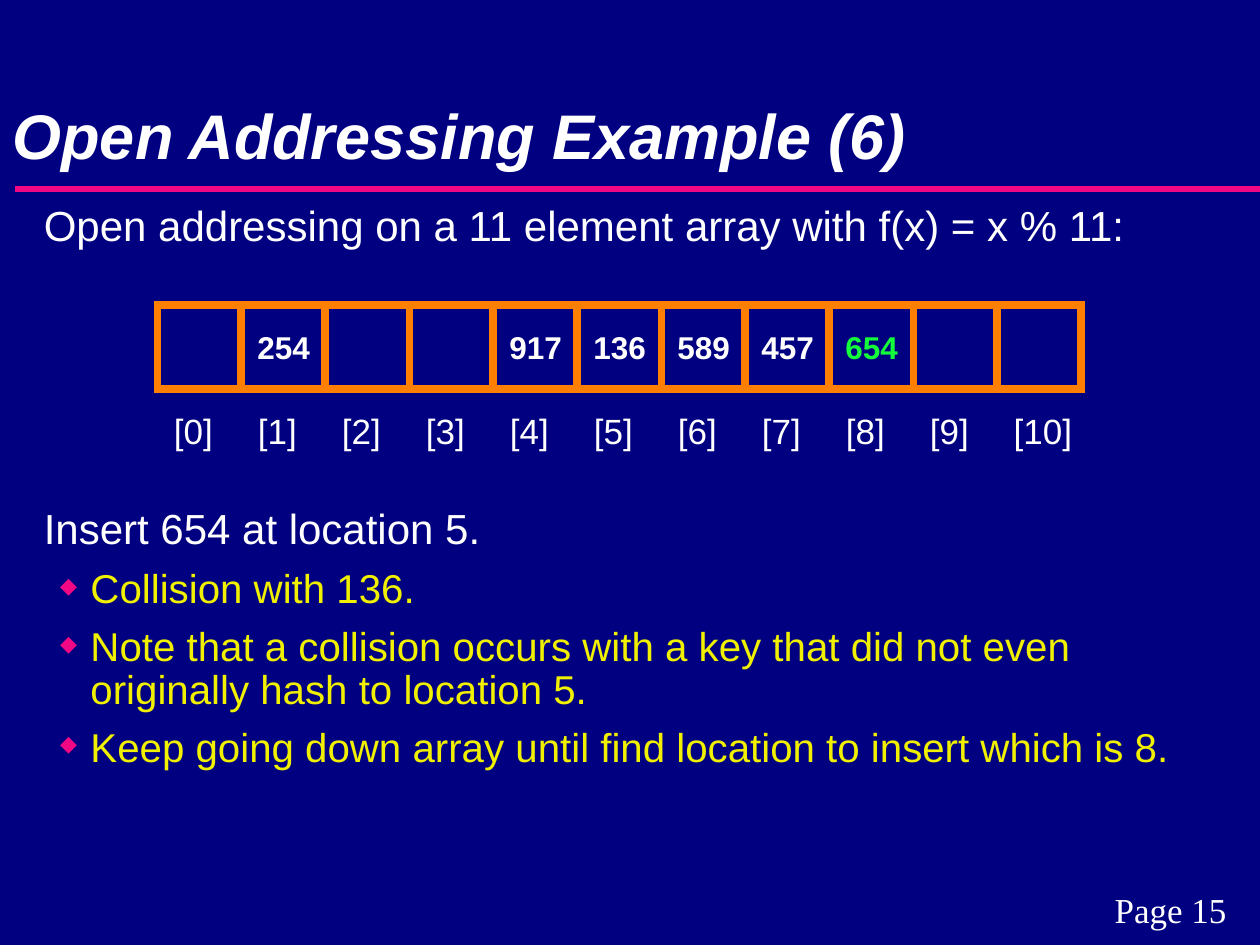
from lxml.etree import SubElement
from pptx import Presentation
from pptx.dml.color import RGBColor
from pptx.enum.shapes import MSO_CONNECTOR, MSO_SHAPE
from pptx.enum.text import MSO_ANCHOR, MSO_AUTO_SIZE, PP_ALIGN
from pptx.oxml.ns import qn
from pptx.util import Inches, Pt

# Content
TITLE = "Open Addressing Example (6)"
PAGE = "Page 15"
INTRO = "Open addressing on a 11 element array with f(x) = x % 11:"
STEP = "Insert 654 at location 5."
NOTES = [
    "Collision with 136.",
    "Note that a collision occurs with a key that did not even "
    "originally hash to location 5.",
    "Keep going down array until find location to insert which is 8.",
]
KEYS = {1: "254", 4: "917", 5: "136", 6: "589", 7: "457", 8: "654"}
SLOTS = 11
NEW = 8  # slot that receives the inserted key

COLORS = {
    "navy": "000080", "white": "FFFFFF", "pink": "F20884",
    "orange": "FF8000", "yellow": "F0F000", "green": "14FD3A",
}
CELL = 2 / 3
LEFT, TOP = 1.25, 2.42
PAD = 0.03


def color(name):
    return RGBColor.from_string(COLORS[name])


def write(para, text, size=24, font="Arial", ink="white", bold=False,
          italic=False, align=PP_ALIGN.LEFT, before=0, lines=None):
    para.alignment = align
    para.space_before = Pt(before)
    para.line_spacing = lines
    run = para.add_run()
    run.text = text
    run.font.size, run.font.name = Pt(size), font
    run.font.bold, run.font.italic = bold, italic
    run.font.color.rgb = color(ink)


def add_box(left, top, width, height):
    box = slide.shapes.add_textbox(
        Inches(left), Inches(top), Inches(width), Inches(height))
    box.text_frame.word_wrap = True
    return box.text_frame


def add_tag(left, top, width, height, text, **style):
    frame = add_box(left, top, width, height)
    frame.word_wrap = False
    frame.vertical_anchor = MSO_ANCHOR.MIDDLE
    frame.margin_left = frame.margin_right = 0
    write(frame.paragraphs[0], text, align=PP_ALIGN.CENTER, **style)


def indent(para, margin, hang=0.0, mark=None):
    props = para._p.get_or_add_pPr()
    props.set("marL", str(Inches(margin)))
    props.set("indent", str(Inches(-hang)))
    if mark:
        tint = SubElement(props, qn("a:buClr"))
        SubElement(tint, qn("a:srgbClr"), val=COLORS["pink"])
        SubElement(props, qn("a:buSzPct"), val="55000")
        SubElement(props, qn("a:buChar"), char=mark)


deck = Presentation()
deck.slide_width, deck.slide_height = Inches(10), Inches(7.5)
slide = deck.slides.add_slide(deck.slide_layouts[5])
slide.background.fill.solid()
slide.background.fill.fore_color.rgb = color("navy")

# Title and rule
title = slide.shapes.title
title.left, title.top = Inches(0), Inches(0)
title.width, title.height = Inches(10), Inches(1.42)
title.text_frame.vertical_anchor = MSO_ANCHOR.BOTTOM
title.text_frame.auto_size = MSO_AUTO_SIZE.NONE
write(title.text_frame.paragraphs[0], TITLE, size=36, bold=True,
      italic=True, lines=0.89)

rule = slide.shapes.add_connector(
    MSO_CONNECTOR.STRAIGHT, Inches(0.12), Inches(1.5), Inches(10), Inches(1.5))
rule.line.color.rgb, rule.line.width = color("pink"), Pt(3.75)
SubElement(rule._element.spPr, qn("a:effectLst"))

# Body text, with a gap for the array between the first two paragraphs
body = add_box(0, 1.58, 9.83, 5.42)
for row, (text, gap) in enumerate([(INTRO, 9), (STEP, 148)]):
    para = body.add_paragraph() if row else body.paragraphs[0]
    write(para, text, before=gap, lines=0.89)
    indent(para, 0.25)
for text in NOTES:
    para = body.add_paragraph()
    para.level = 1
    write(para, text, size=23, ink="yellow", before=8.6, lines=0.89)
    indent(para, 0.62, 0.24, "◆")

# Array cells, indices and keys
for slot in range(SLOTS):
    left = LEFT + slot * CELL
    cell = slide.shapes.add_shape(
        MSO_SHAPE.RECTANGLE, Inches(left), Inches(TOP),
        Inches(CELL), Inches(CELL))
    cell.shadow.inherit = False
    cell.fill.background()
    cell.line.color.rgb, cell.line.width = color("orange"), Pt(4.5)
    SubElement(cell.line._get_or_add_ln(), qn("a:miter"), lim="800000")

    label = f"[{slot}]"
    add_tag(left + PAD, 3.2, 0.51 if slot < 10 else 0.66, 0.44, label, size=20)
    if slot in KEYS:
        add_tag(left + PAD, 2.55, 0.61, 0.4, KEYS[slot], size=18, bold=True,
                ink="green" if slot == NEW else "white")

# Page number
foot = add_box(8.58, 7, 1.42, 0.44)
write(foot.paragraphs[0], PAGE, size=20, font="Times New Roman",
      align=PP_ALIGN.CENTER, before=12.5)

deck.save("out.pptx")
